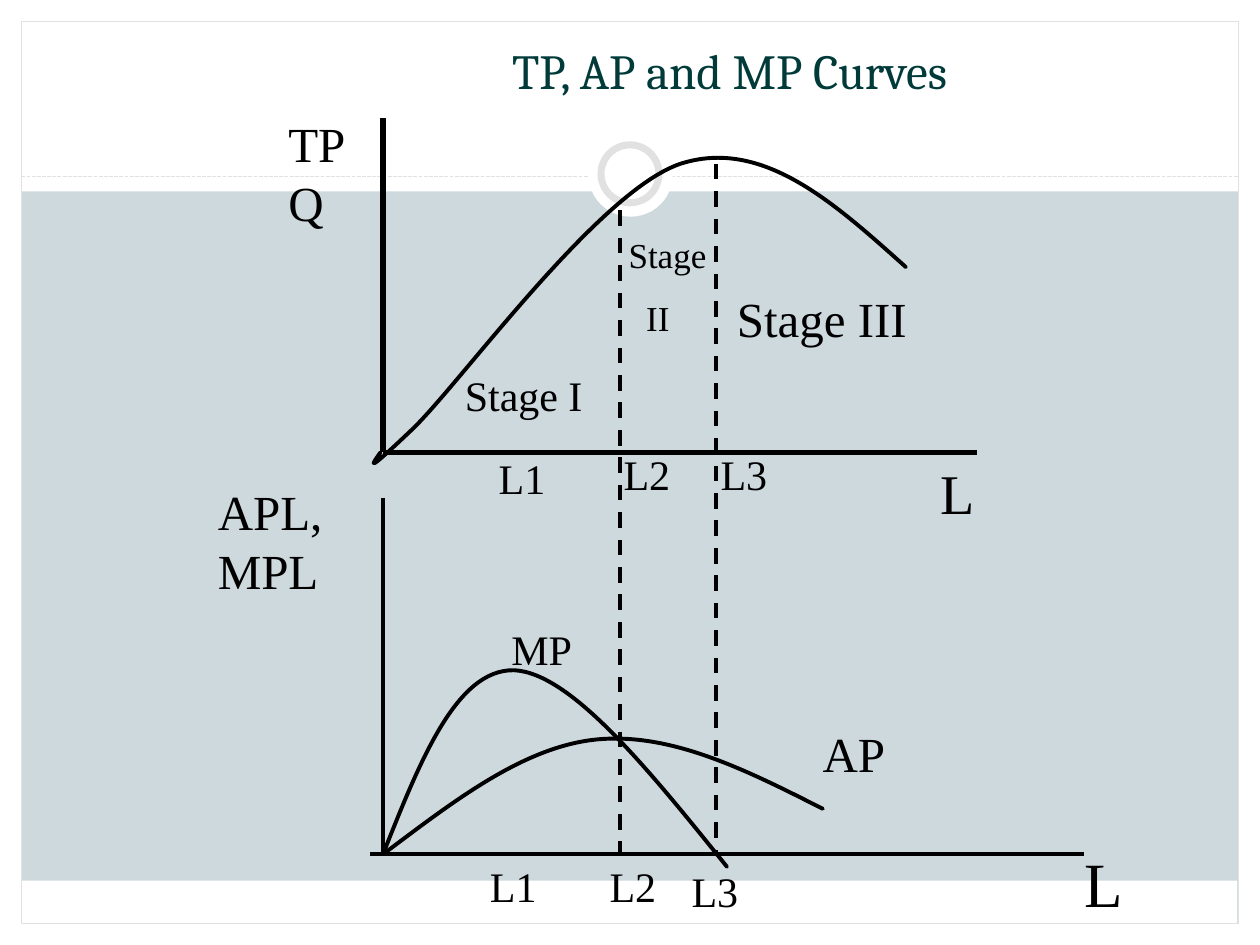
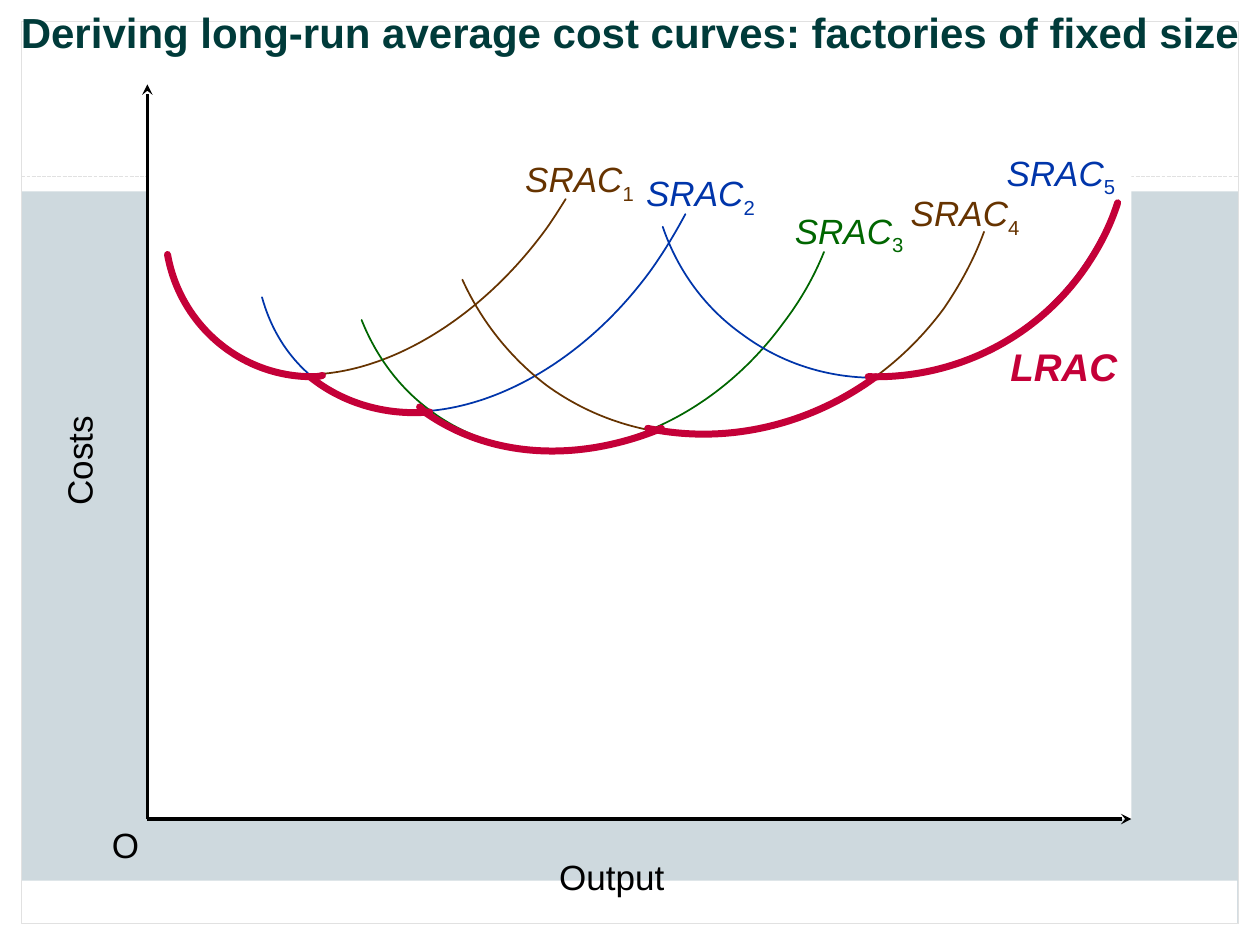
"""Builds two slides of production and cost curves."""
from lxml.etree import SubElement
from pptx import Presentation
from pptx.dml.color import RGBColor
from pptx.enum.dml import MSO_LINE_DASH_STYLE as Dash
from pptx.enum.shapes import MSO_CONNECTOR as Connector, MSO_SHAPE as Preset
from pptx.enum.text import MSO_ANCHOR as Anchor, MSO_AUTO_SIZE as AutoSize, PP_ALIGN as Align
from pptx.oxml.ns import qn
from pptx.util import Inches, Pt

COLORS = {
    "background": "CED9DE", "white": "FFFFFF", "rule": "E1E1E1", "title": "003B3A",
    "black": "000000", "brown": "663300", "blue": "0035AA", "green": "006600", "red": "C40038",
}
SERIF, SANS, TITLE_FONT = "Times New Roman", "Arial", "Cambria"

BANDS = [(0, 7.33, 10, 0.17), (0, 0, 10, 1.52), (0, 0, 0.17, 7.5),
         (9.83, 0, 0.17, 7.5), (0.16, 6.99, 9.66, 0.34)]
FRAME = (0.17, 0.17, 9.66, 7.16)
HEADER_RULE = ((0.17, 1.4), (9.83, 1.4))

PRODUCT_TITLE = "TP, AP and MP Curves"
PRODUCT_AXES = [
    ((3.04, 0.94), (3.04, 3.59), 3), ((3.04, 3.59), (7.75, 3.59), 3),
    ((3.04, 3.95), (3.04, 6.78), 2.25), ((2.94, 6.78), (8.6, 6.78), 2.25),
]
STAGE_LIMITS = [((4.92, 1.67), (4.92, 6.78)), ((5.68, 1.3), (5.68, 6.78))]
PRODUCT_CURVES = {
    "TP": [(3.02, 3.59), (2.95, 3.69), (2.88, 3.78), (3.28, 3.4), (3.67, 3.02), (4.75, 1.52),
           (5.4, 1.3), (6.05, 1.09), (6.62, 1.61), (7.19, 2.12)],
    "AP": [(3.04, 6.78), (3.6, 6.36), (4.15, 5.93), (4.73, 5.87), (5.32, 5.81), (5.92, 6.11),
           (6.53, 6.42)],
    "MP": [(3.04, 6.78), (3.33, 6.05), (3.62, 5.31), (4.08, 5.32), (4.53, 5.34), (5.15, 6.11),
           (5.77, 6.88)],
}
PRODUCT_LABELS = [
    ("L3", 5.62, 3.51, 0.58, 24), ("L2", 4.85, 3.51, 0.58, 24), ("L1", 3.86, 3.54, 0.58, 24),
    ("TP Q", 2.19, 0.85, 0.85, 28), ("L", 8.51, 6.65, 1.04, 36),
    ("APL, MPL", 1.63, 3.77, 1.51, 28), ("L", 7.37, 3.59, 0.66, 32),
    ("AP", 6.43, 5.69, 0.85, 28), ("MP", 3.96, 4.9, 1.04, 24),
    ("L1", 3.79, 6.78, 0.66, 24), ("L2", 4.74, 6.78, 0.66, 24), ("L3", 5.39, 6.82, 0.66, 24),
    ("Stage I", 3.59, 2.88, 1.42, 24), ("Stage\nII", 4.89, 1.8, 1.58, 20),
    ("Stage III", 5.75, 2.24, 1.92, 28),
]

COST_TITLE = "Deriving long-run average cost curves: factories of fixed size"
PLOT = (1.17, 0.67, 7.81, 5.83)
SHORT_RUN = [
    ("1", "brown", (4.07, 1.2),
     [(4.49, 1.58), (4.44, 1.66), (4.39, 1.74), (4.34, 1.81), (3.6, 2.83), (2.45, 3.26),
      (1.78, 2.77), (1.58, 2.63), (1.44, 2.41), (1.36, 2.13)]),
    ("2", "blue", (5.03, 1.31),
     [(5.44, 1.7), (5.36, 1.85), (5.27, 2), (5.17, 2.14), (4.43, 3.16), (3.25, 3.56),
      (2.54, 3.04), (2.32, 2.88), (2.16, 2.65), (2.08, 2.36)]),
    ("3", "green", (6.21, 1.61),
     [(6.54, 2), (6.46, 2.2), (6.35, 2.39), (6.22, 2.56), (5.5, 3.55), (4.25, 3.87),
      (3.43, 3.27), (3.18, 3.09), (2.99, 2.84), (2.87, 2.54)]),
    ("4", "brown", (7.13, 1.47),
     [(7.81, 1.84), (7.73, 2.06), (7.62, 2.26), (7.49, 2.45), (6.72, 3.49), (5.32, 3.77),
      (4.34, 3.06), (4.05, 2.84), (3.82, 2.55), (3.67, 2.22)]),
    ("5", "blue", (7.89, 1.15),
     [(8.85, 1.62), (8.79, 1.81), (8.69, 1.98), (8.58, 2.14), (7.93, 3.03), (6.73, 3.27),
      (5.9, 2.66), (5.6, 2.45), (5.38, 2.15), (5.26, 1.8)]),
]
LONG_RUN = [
    [(2.56, 2.98), (2.53, 2.99), (2.5, 2.99), (2.48, 2.99), (1.91, 2.99), (1.43, 2.58),
     (1.33, 2.02)],
    [(3.41, 3.27), (3.06, 3.3), (2.72, 3.2), (2.46, 2.99)],
    [(5.25, 3.4), (4.57, 3.68), (3.88, 3.63), (3.37, 3.27), (3.36, 3.26), (3.34, 3.24),
     (3.33, 3.23)],
    [(6.95, 2.99), (6.42, 3.38), (5.76, 3.53), (5.14, 3.4)],
    [(8.87, 1.61), (8.81, 1.8), (8.72, 1.97), (8.61, 2.13), (8.22, 2.69), (7.57, 3.01),
     (6.89, 2.99)],
]
AXIS_LABELS = [("Costs", 0.17, 3.44, 0.91, 270), ("Output", 4.34, 6.74, 1.04, 0),
               ("O", 0.79, 6.49, 0.42, 0)]


def rgb(name):
    return RGBColor.from_string(COLORS[name])


def style_line(shape, color, width, dash=None):
    shape.line.color.rgb = rgb(color)
    shape.line.width = Pt(width)
    if dash:
        shape.line.dash_style = dash


def add_preset(slide, preset, box, fill=None, line=None, width=0.75):
    shape = slide.shapes.add_shape(preset, *map(Inches, box))
    shape.shadow.inherit = False
    if fill:
        shape.fill.solid()
        shape.fill.fore_color.rgb = rgb(fill)
    else:
        shape.fill.background()
    if line:
        style_line(shape, line, width)
    else:
        shape.line.fill.background()
    return shape


def add_line(slide, start, end, color="black", width=2.25, dash=None, arrow=False):
    connector = slide.shapes.add_connector(Connector.STRAIGHT, *map(Inches, start + end))
    style_line(connector, color, width, dash)
    element = connector._element
    if arrow:
        SubElement(element.xpath(".//a:ln")[0], qn("a:tailEnd"), type="stealth")
    SubElement(element.spPr, qn("a:effectLst"))
    return connector


def add_curve(slide, points, color="black", width=2.25):
    """Draws a chain of cubic curves: a start, then three points for each curve."""
    start, *rest = [(Inches(x), Inches(y)) for x, y in points]
    builder = slide.shapes.build_freeform(*start)
    builder.add_line_segments(rest, close=False)
    shape = builder.convert_to_shape()
    shape.shadow.inherit = False
    shape.fill.background()
    style_line(shape, color, width)
    shape._element.xpath(".//a:ln")[0].set("cap", "rnd")
    outline = shape._element.xpath(".//a:path")[0]
    segments = outline.findall(qn("a:lnTo"))
    for first in range(0, len(segments), 3):
        cubic = SubElement(outline, qn("a:cubicBezTo"))
        for segment in segments[first:first + 3]:
            cubic.append(segment[0])
            outline.remove(segment)


def format_font(font, name, size, color, bold=False, italic=False):
    font.name, font.size, font.bold, font.italic = name, Pt(size), bold, italic
    font.color.rgb = rgb(color)


def add_text(slide, text, left, top, width, size=20, font=SANS, color="black", bold=False,
             italic=False, subscript=None, wrap=False, rotation=0):
    height = size / 60 + 0.1
    box = slide.shapes.add_textbox(*map(Inches, (left, top, width, height)))
    box.rotation = rotation
    frame = box.text_frame
    frame.word_wrap = wrap
    frame.auto_size = AutoSize.SHAPE_TO_FIT_TEXT
    for index, line in enumerate(text.split("\n")):
        paragraph = frame.add_paragraph() if index else frame.paragraphs[0]
        if index:
            paragraph.space_before = Pt(12.5)
            paragraph._p.get_or_add_pPr().set("marL", str(Inches(0.14)))
        run = paragraph.add_run()
        run.text = line
        format_font(run.font, font, size, color, bold, italic)
    if subscript:
        run = paragraph.add_run()
        run.text = subscript
        format_font(run.font, font, size, color)
        run.font._element.set("baseline", "-25000")


def set_title(slide, text, box, font, size, anchor, bold=False, shadow=False):
    title = slide.shapes.title
    title.left, title.top, title.width, title.height = map(Inches, box)
    frame = title.text_frame
    frame.word_wrap, frame.auto_size, frame.vertical_anchor = True, AutoSize.NONE, anchor
    paragraph = frame.paragraphs[0]
    paragraph.alignment = Align.CENTER
    run = paragraph.add_run()
    run.text = text
    format_font(run.font, font, size, "title", bold)
    if shadow:
        effects = run.font._element.makeelement(qn("a:effectLst"))
        run.font._element.find(qn("a:solidFill")).addnext(effects)
        outer = SubElement(effects, qn("a:outerShdw"), dist="38100", dir="2700000")
        SubElement(outer, qn("a:srgbClr"), val=COLORS["black"])


def build_master(master, slide):
    """Draws the shared parts on a slide and moves them to the master."""
    master.background.fill.solid()
    master.background.fill.fore_color.rgb = rgb("background")
    parts = [add_preset(slide, Preset.RECTANGLE, band, fill="white") for band in BANDS]
    parts.append(add_preset(slide, Preset.RECTANGLE, FRAME, line="rule"))
    parts.append(add_line(slide, *HEADER_RULE, color="rule", width=0.75, dash=Dash.SQUARE_DOT))
    for number, part in enumerate(parts, 101):
        part._element.xpath(".//p:cNvPr")[0].set("id", str(number))
        master.shapes._spTree.append(part._element)


def build_product_slide(slide):
    set_title(slide, PRODUCT_TITLE, (3.25, 0.17, 5.08, 0.67), TITLE_FONT, 28, Anchor.BOTTOM)
    add_preset(slide, Preset.OVAL, (4.67, 1.05, 0.67, 0.67), fill="white")
    add_preset(slide, Preset.OVAL, (4.77, 1.15, 0.46, 0.46), fill="white", line="rule", width=4)
    for start, end, width in PRODUCT_AXES:
        add_line(slide, start, end, width=width)
    for start, end in STAGE_LIMITS:
        add_line(slide, start, end, dash=Dash.DASH)
    for points in PRODUCT_CURVES.values():
        add_curve(slide, points)
    for text, left, top, width, size in PRODUCT_LABELS:
        add_text(slide, text, left, top, width, size, font=SERIF, wrap=True)


def build_cost_slide(slide):
    set_title(slide, COST_TITLE, (0, 0, 10, 0.5), SANS, 24, Anchor.TOP, bold=True, shadow=True)
    add_preset(slide, Preset.RECTANGLE, PLOT, fill="white")
    left, top, width, height = PLOT
    origin = (left, top + height)
    for tip in ((left, top), (left + width, top + height)):
        add_line(slide, origin, tip, width=2, arrow=True)
    for number, color, place, points in SHORT_RUN:
        add_curve(slide, points, color, 1)
        add_text(slide, "SRAC", *place, 1.07, color=color, italic=True, subscript=number)
    for points in LONG_RUN:
        add_curve(slide, points, "red", 4)
    add_text(slide, "LRAC", 7.92, 2.67, 1.05, 22, color="red", bold=True, italic=True)
    for text, left, top, width, rotation in AXIS_LABELS:
        add_text(slide, text, left, top, width, rotation=rotation)


def main():
    presentation = Presentation()
    presentation.slide_width, presentation.slide_height = Inches(10), Inches(7.5)
    layout = presentation.slide_layouts.get_by_name("Title Only")
    product_slide, cost_slide = [presentation.slides.add_slide(layout) for _ in range(2)]
    build_master(presentation.slide_master, product_slide)
    build_product_slide(product_slide)
    build_cost_slide(cost_slide)
    presentation.save("out.pptx")


if __name__ == "__main__":
    main()
